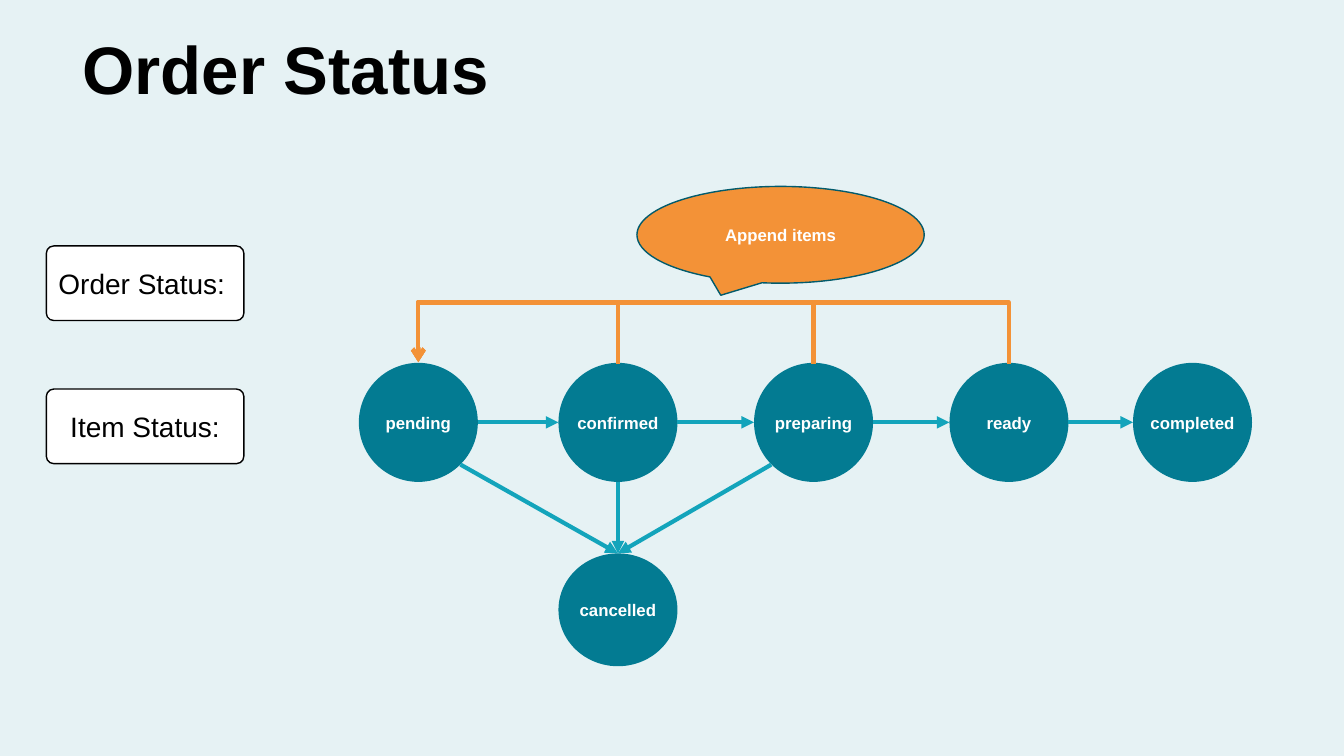
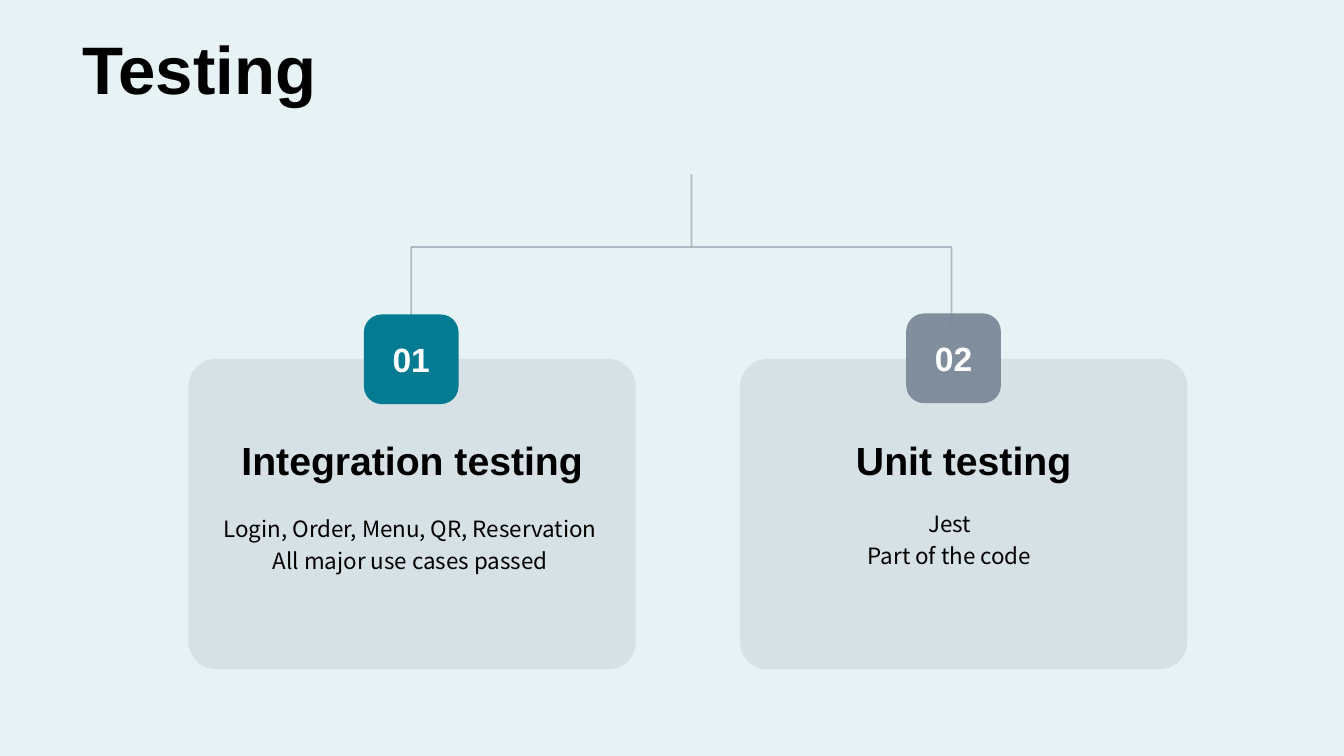
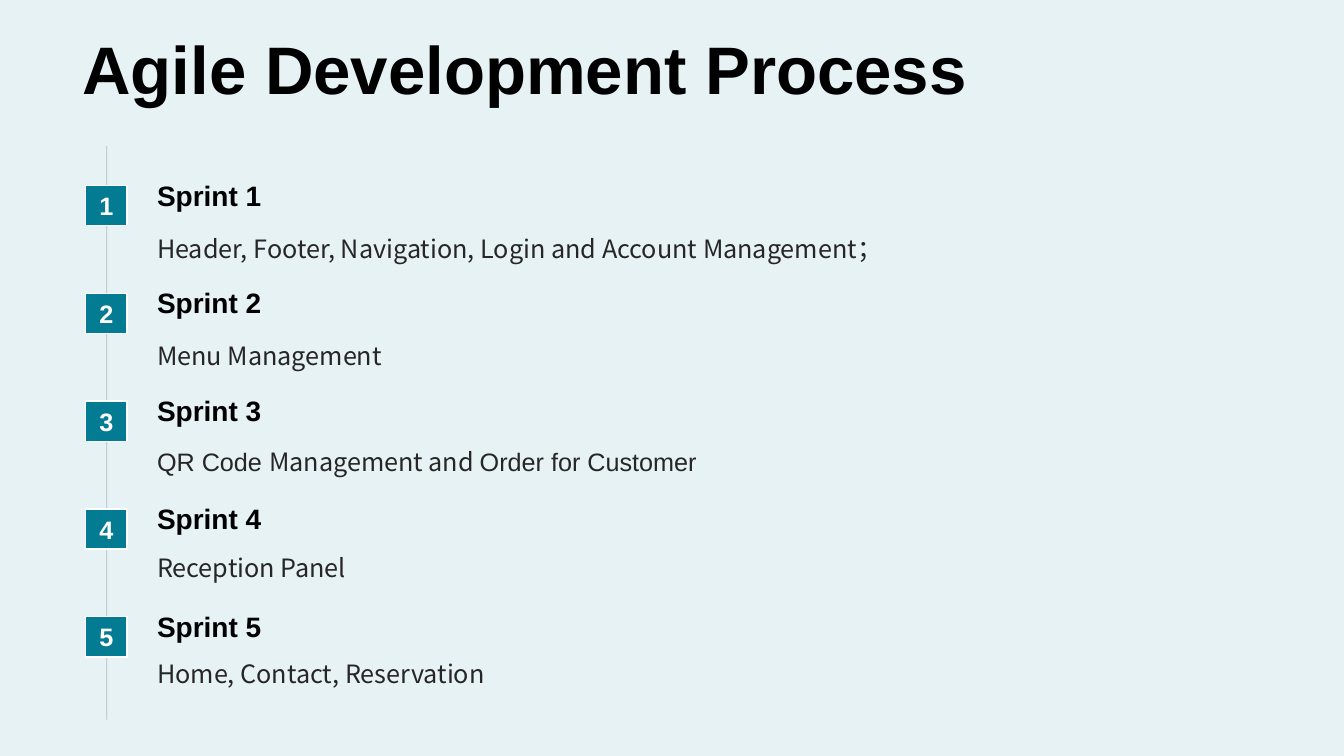
"""Build three slides on order status, testing and the agile process."""
from lxml import etree
from pptx import Presentation
from pptx.dml.color import RGBColor
from pptx.enum.shapes import MSO_CONNECTOR, MSO_SHAPE
from pptx.enum.text import MSO_ANCHOR, PP_ALIGN
from pptx.oxml.ns import qn
from pptx.util import Pt

STRAIGHT, ELBOW = MSO_CONNECTOR.STRAIGHT, MSO_CONNECTOR.ELBOW
OVAL, BOX, ROUNDED = MSO_SHAPE.OVAL, MSO_SHAPE.RECTANGLE, MSO_SHAPE.ROUNDED_RECTANGLE
CALLOUT = MSO_SHAPE.OVAL_CALLOUT
TOP, MIDDLE, BOTTOM = MSO_ANCHOR.TOP, MSO_ANCHOR.MIDDLE, MSO_ANCHOR.BOTTOM
LEFT, CENTER = PP_ALIGN.LEFT, PP_ALIGN.CENTER

SANS, CJK = "Arial", "Noto Sans CJK SC"
COLORS = {
    "backdrop": "E6F2F4", "teal": "037B92", "arrow": "13A4BB", "orange": "F39237",
    "outline": "025B6C", "slate": "778495", "white": "FFFFFF", "black": "000000",
    "ink": "262626",
}
STYLES = {
    "title": ("black", {"size": Pt(48), "bold": True, "name": SANS}),
    "state": ("white", {"size": Pt(12), "bold": True, "name": SANS}),
    "label": ("black", {"size": Pt(20), "bold": False, "name": SANS}),
    "card number": ("white", {"size": Pt(24), "bold": True, "name": SANS}),
    "card title": ("black", {"size": Pt(28), "bold": True, "name": SANS}),
    "card body": ("black", {"size": Pt(16), "bold": False, "name": CJK}),
    "sprint number": ("white", {"size": Pt(18), "bold": True, "name": SANS}),
    "sprint title": ("black", {"size": Pt(20), "bold": True, "name": SANS}),
    "sprint body": ("ink", {"size": Pt(18), "bold": False, "name": CJK}),
}

CIRCLE = 85
STATE_TOP = 259.2
STATE_LEFTS = {"pending": 256.3, "confirmed": 398.9, "preparing": 538.6,
               "ready": 678.2, "completed": 809.3}
CANCELLED_TOP, CANCELLED_HEIGHT = 395.3, 80.6
RETURN_RISE = 44

CARDS = [
    ("01", "Integration testing",
     ["Login, Order, Menu, QR, Reservation", "All major use cases passed"],
     134.6, (259.9, 224.6), (133.2, 360.7), "teal", 100),
    ("02", "Unit testing", ["Jest", "Part of the code"],
     528.5, (647.3, 223.9), (518.4, 357.1), "slate", 90),
]
CARD_WIDTH = 319.7

SPRINTS = [
    (623.5, [("Header, Footer, Navigation, Login and Account Management；", CJK)]),
    (334.1, [("Menu Management", CJK)]),
    (424.8, [("QR Code ", SANS), ("Management and ", CJK), ("Order for Customer", SANS)]),
    (194.4, [("Reception Panel", CJK)]),
    (555.1, [("Home, Contact, Reservation", CJK)]),
]


def rgb(color):
    """Return the named colour."""
    return RGBColor.from_string(COLORS[color])


def fade(element, opacity):
    """Set the opacity, in percent, of the colours of an element."""
    for tint in element.spPr.iter(qn("a:srgbClr")):
        etree.SubElement(tint, qn("a:alpha"), val=str(opacity * 1000))


def add_run(paragraph, text, style, font_name=None):
    """Add one styled run to a paragraph."""
    color, formats = STYLES[style]
    run = paragraph.add_run()
    run.text = text
    for key, value in formats.items():
        setattr(run.font, key, value)
    run.font.name = font_name or formats["name"]
    run.font.color.rgb = rgb(color)
    etree.SubElement(run.font._element, qn("a:ea"), typeface=run.font.name)


def write(shape, lines, style, align=LEFT, anchor=MIDDLE, wrap=True, spacing=None, inset=None):
    """Fill a shape with lines, each a string or a list of (text, font) runs."""
    frame = shape.text_frame
    frame.word_wrap = wrap
    frame.vertical_anchor = anchor
    if inset is not None:
        for side in ("left", "right", "top", "bottom"):
            setattr(frame, f"margin_{side}", Pt(inset))
    for index, line in enumerate(lines):
        paragraph = frame.add_paragraph() if index else frame.paragraphs[0]
        paragraph.alignment = align
        paragraph.line_spacing = spacing
        runs = [(line, None)] if isinstance(line, str) else line
        for text, font_name in runs:
            add_run(paragraph, text, style, font_name)


def add_text(slide, place, lines, style, **layout):
    """Add a text box."""
    write(slide.shapes.add_textbox(*map(Pt, place)), lines, style, **layout)


def add_block(slide, preset, place, fill, outline=None, corner=None, opacity=100):
    """Add a filled preset shape, its outline one point wide if it has one."""
    block = slide.shapes.add_shape(preset, *map(Pt, place))
    block.shadow.inherit = False
    block.fill.solid()
    block.fill.fore_color.rgb = rgb(fill)
    if corner:
        block.adjustments[0] = corner
    if opacity < 100:
        fade(block.element, opacity)
    if outline:
        block.line.color.rgb = rgb(outline)
        block.line.width = Pt(1)
    else:
        block.line.fill.background()
    return block


def add_line(slide, start, end, color, width, head=None, opacity=100, kind=STRAIGHT):
    """Add a connector, with an arrowhead at its end if one is given."""
    line = slide.shapes.add_connector(kind, *map(Pt, (*start, *end)))
    line.line.color.rgb = rgb(color)
    line.line.width = Pt(width)
    properties = line.element.spPr
    if head:
        etree.SubElement(properties.find(qn("a:ln")), qn("a:tailEnd"), type=head)
    if opacity < 100:
        fade(line.element, opacity)
    etree.SubElement(properties, qn("a:effectLst"))
    return line


def add_return_arrow(slide, start_x, end_x, y):
    """Add an elbow arrow that rises, runs left and comes down again."""
    span = start_x - end_x
    arrow = add_line(slide, (end_x, y), (start_x, y + 1), "orange", 3, "arrow", kind=ELBOW)
    arrow.left, arrow.top = Pt((start_x + end_x - 1) / 2), Pt(y + 0.5 - span / 2)
    arrow.width, arrow.height = Pt(1), Pt(span)
    properties = arrow.element.spPr
    frame = properties.find(qn("a:xfrm"))
    frame.set("rot", str(270 * 60000))
    frame.set("flipV", "1")
    guides = properties.find(qn("a:prstGeom")).find(qn("a:avLst"))
    etree.SubElement(guides, qn("a:gd"), name="adj1", fmla=f"val {RETURN_RISE * 100000}")


def add_state(slide, name, left, top, height=CIRCLE):
    """Add one status circle."""
    circle = add_block(slide, OVAL, (left, top, CIRCLE, height), "teal")
    write(circle, [name], "state", CENTER, inset=0)


def add_titled_slide(deck, title):
    """Add a blank slide with the shared title."""
    slide = deck.slides.add_slide(deck.slide_layouts[6])
    add_text(slide, (51.8, 0, 855.4, 80.6), [title], "title", anchor=BOTTOM)
    return slide


def build_order_status(deck):
    """Draw the order states and the moves between them."""
    slide = add_titled_slide(deck, "Order Status")
    radius = CIRCLE / 2
    corner = radius * 0.71
    middle = STATE_TOP + radius
    centers = {name: left + radius for name, left in STATE_LEFTS.items()}
    add_state(slide, "cancelled", STATE_LEFTS["confirmed"], CANCELLED_TOP, CANCELLED_HEIGHT)
    for name, left in STATE_LEFTS.items():
        add_state(slide, name, left, STATE_TOP)

    lefts = list(STATE_LEFTS.values())
    moves = [((left + CIRCLE, middle), (following, middle))
             for left, following in zip(lefts, lefts[1:])]
    cancelled = (centers["confirmed"], CANCELLED_TOP)
    moves += [
        ((centers["pending"] + corner, middle + corner), cancelled),
        ((centers["confirmed"], middle + radius), cancelled),
        ((centers["preparing"] - corner, middle + corner), cancelled),
    ]
    for start, end in moves:
        add_line(slide, start, end, "arrow", 3, "triangle")
    for name in ("confirmed", "preparing", "ready"):
        add_return_arrow(slide, centers[name], centers["pending"], STATE_TOP - 0.5)

    append_note = add_block(slide, CALLOUT, (455, 133.2, 205.2, 69.1), "orange", "outline")
    write(append_note, ["Append items"], "state", CENTER)
    for label, top, align in (("Item Status:", 277.9, CENTER), ("Order Status:", 175.7, LEFT)):
        tag = add_block(slide, ROUNDED, (33.1, top, 141.1, 53.3), "white", "black", 0.1)
        write(tag, [label], "label", align)


def build_testing(deck):
    """Draw the two kinds of testing as cards under a branching line."""
    slide = add_titled_slide(deck, "Testing")
    trunk, left_branch, right_branch, fork = 493.9, 293.8, 679.7, 176.4
    for start, end in (
        ((left_branch, fork), (right_branch, fork)),
        ((left_branch, fork), (left_branch, 227.5)),
        ((right_branch, fork), (right_branch, 231.8)),
        ((trunk, 124.6), (trunk, fork)),
    ):
        add_line(slide, start, end, "slate", 1.25, opacity=50)
    for number, title, body, left, badge_at, body_at, fill, opacity in CARDS:
        add_block(slide, ROUNDED, (left, 256.3, CARD_WIDTH, 221.8), "slate",
                  corner=0.09, opacity=15)
        badge = add_block(slide, ROUNDED, (*badge_at, 67.7, 64.1), fill,
                          corner=0.2, opacity=opacity)
        write(badge, [number], "card number", CENTER, wrap=False)
        add_text(slide, (left, 309.6, CARD_WIDTH, 38.9), [title], "card title",
                 align=CENTER, anchor=BOTTOM, wrap=False)
        add_text(slide, (*body_at, CARD_WIDTH, 51.8), body, "card body",
                 align=CENTER, anchor=TOP, spacing=1.2)


def build_agile_process(deck):
    """Draw the sprints along a vertical timeline."""
    slide = add_titled_slide(deck, "Agile Development Process")
    add_line(slide, (76.3, 104.4), (76.3, 514.1), "slate", 0.5, opacity=50)
    for index, (width, detail) in enumerate(SPRINTS):
        number = str(index + 1)
        step = index * 77
        marker = add_block(slide, BOX, (61.2, 132.5 + step, 29.5, 28.8), "teal", "white")
        write(marker, [number], "sprint number", CENTER)
        add_text(slide, (105.1, 130.3 + step, 194.4, 24.5), [f"Sprint {number}"],
                 "sprint title", anchor=BOTTOM, wrap=False)
        add_text(slide, (105.1, 159.1 + index * 75.8, width, 31.7), [detail],
                 "sprint body", anchor=TOP, spacing=1.2)


def main():
    """Build and save the deck."""
    deck = Presentation()
    deck.slide_width, deck.slide_height = Pt(960), Pt(540)
    backdrop = deck.slide_master.background.fill
    backdrop.solid()
    backdrop.fore_color.rgb = rgb("backdrop")
    build_order_status(deck)
    build_testing(deck)
    build_agile_process(deck)
    deck.save("out.pptx")


if __name__ == "__main__":
    main()
